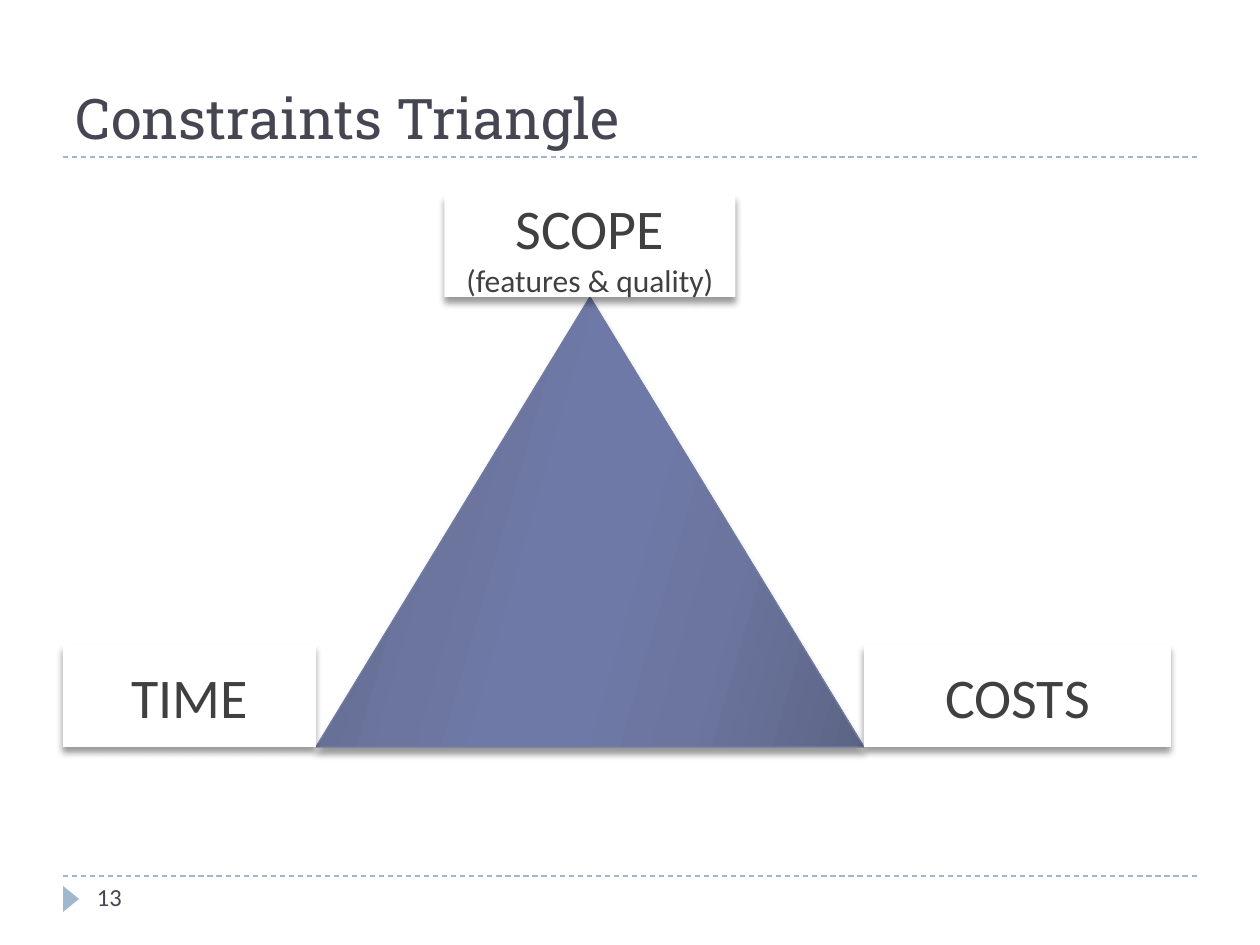
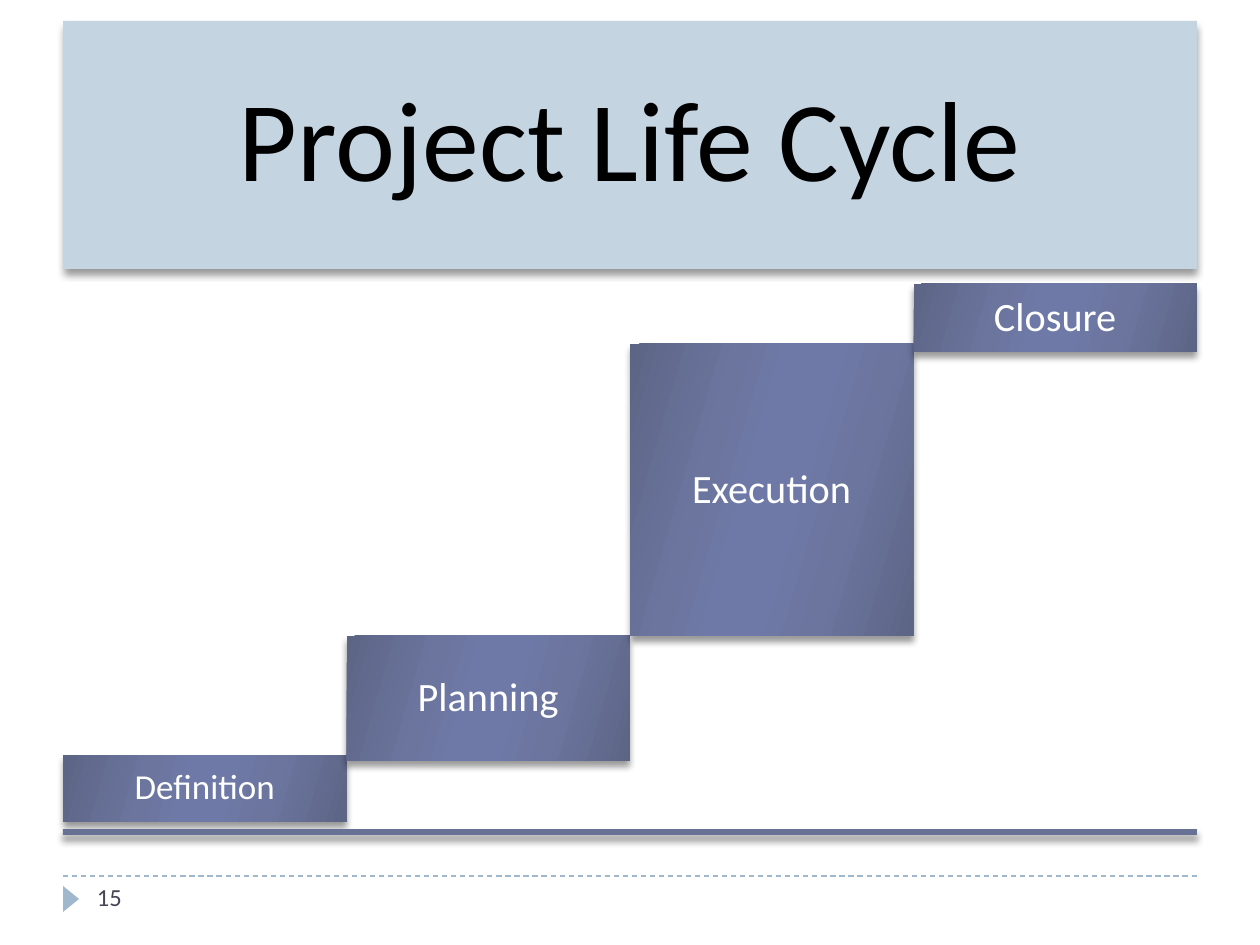
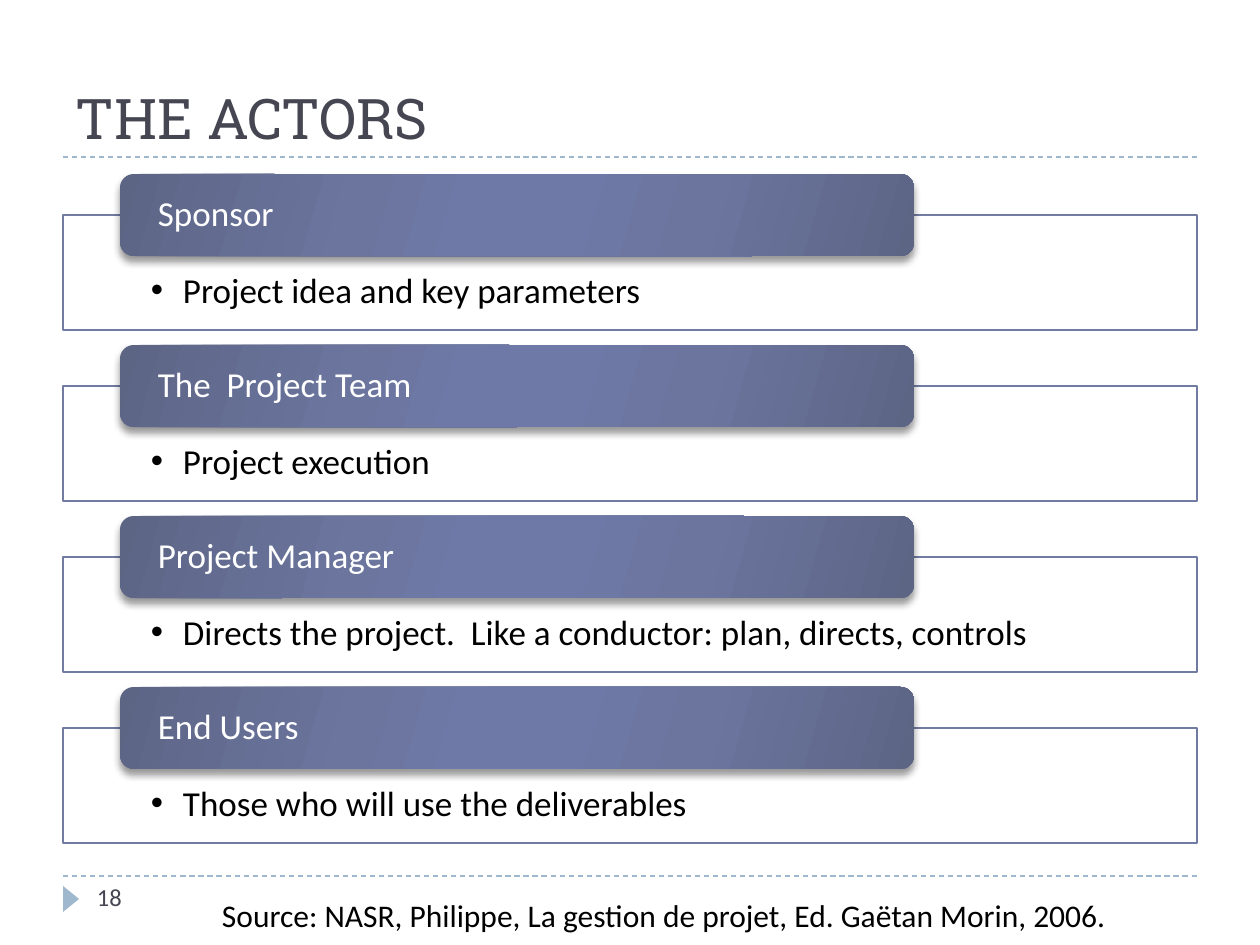
from lxml.etree import SubElement
from pptx import Presentation
from pptx.dml.color import RGBColor
from pptx.enum.dml import MSO_LINE
from pptx.enum.shapes import MSO_CONNECTOR, MSO_SHAPE
from pptx.enum.text import MSO_ANCHOR, MSO_AUTO_SIZE, PP_ALIGN
from pptx.oxml.ns import qn
from pptx.util import Emu, Pt

# Content
TRIANGLE_TITLE = "Constraints Triangle"
SCOPE = [("SCOPE", 32), ("(features & quality)", 18)]
TIME = [("TIME", 32)]
COSTS = [("COSTS", 32)]

CYCLE_TITLE = "Project Life Cycle"
PHASES = [  # name, text size, top, height
    ("Definition", 20, 755, 67),
    ("Planning", 23, 636, 125),
    ("Execution", 23, 344, 292),
    ("Closure", 23, 284, 68),
]

ACTORS_TITLE = "THE ACTORS"
ACTORS = [
    ("Sponsor", "Project idea and key parameters"),
    ("The  Project Team", "Project execution"),
    ("Project Manager", "Directs the project.  Like a conductor: plan, directs, controls"),
    ("End Users", "Those who will use the deliverables"),
]
ACTORS_SOURCE = "Source: NASR, Philippe, La gestion de projet, Ed. Gaëtan Morin, 2006."

# Shared look
BODY_FONT = "Calibri"
TITLE_FONT = "Roboto Slab"
WHITE = RGBColor(0xFF, 0xFF, 0xFF)
BLACK = RGBColor(0x00, 0x00, 0x00)
SLATE = RGBColor(0x46, 0x46, 0x53)
CHARCOAL = RGBColor(0x40, 0x40, 0x40)
SKY = RGBColor(0x9F, 0xB8, 0xCD)
PALE_SKY = RGBColor(0xC5, 0xD4, 0xE1)
INDIGO = RGBColor(0x72, 0x7C, 0xA3)
DARK_INDIGO = RGBColor(0x67, 0x71, 0x94)
EDGE = RGBColor(0x5D, 0x65, 0x85)
MIDWAY = RGBColor(0x6B, 0x75, 0x9E)
CORE = RGBColor(0x6E, 0x79, 0xA7)
SHEEN = [(0, EDGE), (30, MIDWAY), (45, CORE), (55, CORE), (73, MIDWAY), (100, EDGE)]
SHEEN_ANGLE = 16

LEFT, WIDTH = 63, 1134
RIGHT = LEFT + WIDTH
TITLE_TOP, TITLE_RULE, FOOTER_RULE = 21, 157, 876
DEFAULT_INSETS = (13, 6, 13, 6)


def px(length):
    return Emu(round(length * 914400 / 126))


def write(shape, lines, size=20, font=BODY_FONT, color=BLACK, align=PP_ALIGN.LEFT,
          anchor=MSO_ANCHOR.TOP, insets=DEFAULT_INSETS, spacing=None, bullet=False):
    """Fill a shape with lines, each a text or a (text, size) pair."""
    frame = shape.text_frame
    frame.word_wrap = True
    frame.auto_size = MSO_AUTO_SIZE.NONE
    frame.vertical_anchor = anchor
    (frame.margin_left, frame.margin_top,
     frame.margin_right, frame.margin_bottom) = map(px, insets)
    for index, line in enumerate(lines):
        text, line_size = line if isinstance(line, tuple) else (line, size)
        para = frame.add_paragraph() if index else frame.paragraphs[0]
        para.alignment = align
        if spacing:
            para.line_spacing = spacing
        if bullet:
            add_bullet(para)
        span = para.add_run()
        span.text = text
        span.font.name = font
        span.font.size = Pt(line_size)
        span.font.color.rgb = color


def add_bullet(para):
    properties = para._p.get_or_add_pPr()
    properties.set("marL", str(px(32)))
    properties.set("indent", str(-px(32)))
    SubElement(properties, qn("a:buFont"), typeface="Arial")
    SubElement(properties, qn("a:buChar"), char="•")


def add_shadow(shape):
    shape.shadow.inherit = False
    effects = shape._element.spPr.find(qn("a:effectLst"))
    shadow = SubElement(effects, qn("a:outerShdw"), blurRad=str(Pt(4)),
                        dist=str(Pt(3.4)), dir="5400000", rotWithShape="0")
    color = SubElement(shadow, qn("a:srgbClr"), val=str(BLACK))
    SubElement(color, qn("a:alpha"), val="40000")


def apply_sheen(shape):
    shape.fill.gradient()
    shape.fill.gradient_angle = 360 - SHEEN_ANGLE
    stops = shape._element.spPr.find(qn("a:gradFill")).find(qn("a:gsLst"))
    for stop in list(stops):
        stops.remove(stop)
    for position, color in SHEEN:
        stop = SubElement(stops, qn("a:gs"), pos=str(position * 1000))
        SubElement(stop, qn("a:srgbClr"), val=str(color))


def add_box(slide, left, top, width, height, kind=MSO_SHAPE.RECTANGLE,
            fill=None, line=None, shadow=True):
    """Add a shape; without a fill colour it gets the indigo sheen."""
    box = slide.shapes.add_shape(kind, px(left), px(top), px(width), px(height))
    if fill is None:
        apply_sheen(box)
    else:
        box.fill.solid()
        box.fill.fore_color.rgb = fill
    if line is None:
        box.line.fill.background()
    else:
        box.line.color.rgb = line
        box.line.width = Pt(0.75)
    if shadow:
        add_shadow(box)
    else:
        box.shadow.inherit = False
    return box


def add_text(slide, text, left, top, width, height, **style):
    box = slide.shapes.add_textbox(px(left), px(top), px(width), px(height))
    write(box, [text], **style)


def add_rule(slide, top):
    rule = slide.shapes.add_connector(
        MSO_CONNECTOR.STRAIGHT, px(LEFT), px(top), px(RIGHT), px(top))
    rule.line.color.rgb = SKY
    rule.line.width = Pt(0.75)
    rule.line.dash_style = MSO_LINE.DASH
    SubElement(rule._element.spPr, qn("a:effectLst"))


def place_title(slide, text, height, **style):
    title = slide.shapes.title
    title.left, title.top = px(LEFT), px(TITLE_TOP)
    title.width, title.height = px(WIDTH), px(height)
    write(title, [text], **style)
    return title


def add_page(deck, number):
    """Add a slide with the footer rule, marker and page number."""
    slide = deck.slides.add_slide(deck.slide_layouts[5])
    add_rule(slide, FOOTER_RULE)
    marker = add_box(slide, 58, 891, 26, 16, MSO_SHAPE.ISOSCELES_TRIANGLE,
                     fill=SKY, shadow=False)
    marker.rotation = 90
    add_text(slide, str(number), 84, FOOTER_RULE, 273, 50, size=14, color=SLATE)
    return slide


def add_titled_page(deck, number, title):
    slide = add_page(deck, number)
    add_rule(slide, TITLE_RULE)
    place_title(slide, title, TITLE_RULE - TITLE_TOP, size=32, font=TITLE_FONT,
                color=SLATE, anchor=MSO_ANCHOR.BOTTOM)
    return slide


def build_triangle(deck):
    slide = add_titled_page(deck, 13, TRIANGLE_TITLE)
    left, top, width, height = 316, 297, 548, 450
    label_height, scope_width, costs_width = 102, 291, 307
    add_box(slide, left, top, width, height, MSO_SHAPE.ISOSCELES_TRIANGLE, line=INDIGO)
    low_top = top + height - label_height
    labels = [
        (COSTS, left + width, low_top, costs_width),
        (TIME, LEFT, low_top, left - LEFT),
        (SCOPE, left + (width - scope_width) / 2, top - label_height, scope_width),
    ]
    for lines, label_left, label_top, label_width in labels:
        label = add_box(slide, label_left, label_top, label_width, label_height, fill=WHITE)
        write(label, lines, color=CHARCOAL, align=PP_ALIGN.CENTER, anchor=MSO_ANCHOR.MIDDLE)


def build_life_cycle(deck):
    slide = add_page(deck, 15)
    centred = dict(align=PP_ALIGN.CENTER, anchor=MSO_ANCHOR.MIDDLE, spacing=0.9)
    banner = place_title(slide, CYCLE_TITLE, 248, size=65, insets=(34,) * 4, **centred)
    banner.fill.solid()
    banner.fill.fore_color.rgb = PALE_SKY
    add_shadow(banner)
    step_width = WIDTH / len(PHASES)
    for index, (name, size, top, height) in enumerate(PHASES):
        step = add_box(slide, LEFT + index * step_width, top, step_width, height)
        write(step, [name], size=size, color=WHITE, insets=(12,) * 4, **centred)
    add_box(slide, LEFT, 829, WIDTH, 6, fill=DARK_INDIGO)


def build_actors(deck):
    slide = add_titled_page(deck, 18, ACTORS_TITLE)
    first_top, pitch = 215, 171
    for index, (actor, role) in enumerate(ACTORS):
        top = first_top + index * pitch
        frame = add_box(slide, LEFT, top, WIDTH, 115, fill=WHITE, line=INDIGO, shadow=False)
        write(frame, [role], insets=(88, 58, 88, 20), spacing=0.9, bullet=True)
        header = add_box(slide, 120, top - 41, 794, 82, MSO_SHAPE.ROUNDED_RECTANGLE)
        write(header, [actor], color=WHITE, anchor=MSO_ANCHOR.MIDDLE,
              insets=(34, 0, 34, 0), spacing=0.9)
    add_text(slide, ACTORS_SOURCE, 209, 890, 1028, 50, size=18)


def main():
    deck = Presentation()
    deck.slide_width, deck.slide_height = px(1260), px(945)
    build_triangle(deck)
    build_life_cycle(deck)
    build_actors(deck)
    deck.save("out.pptx")


if __name__ == "__main__":
    main()
